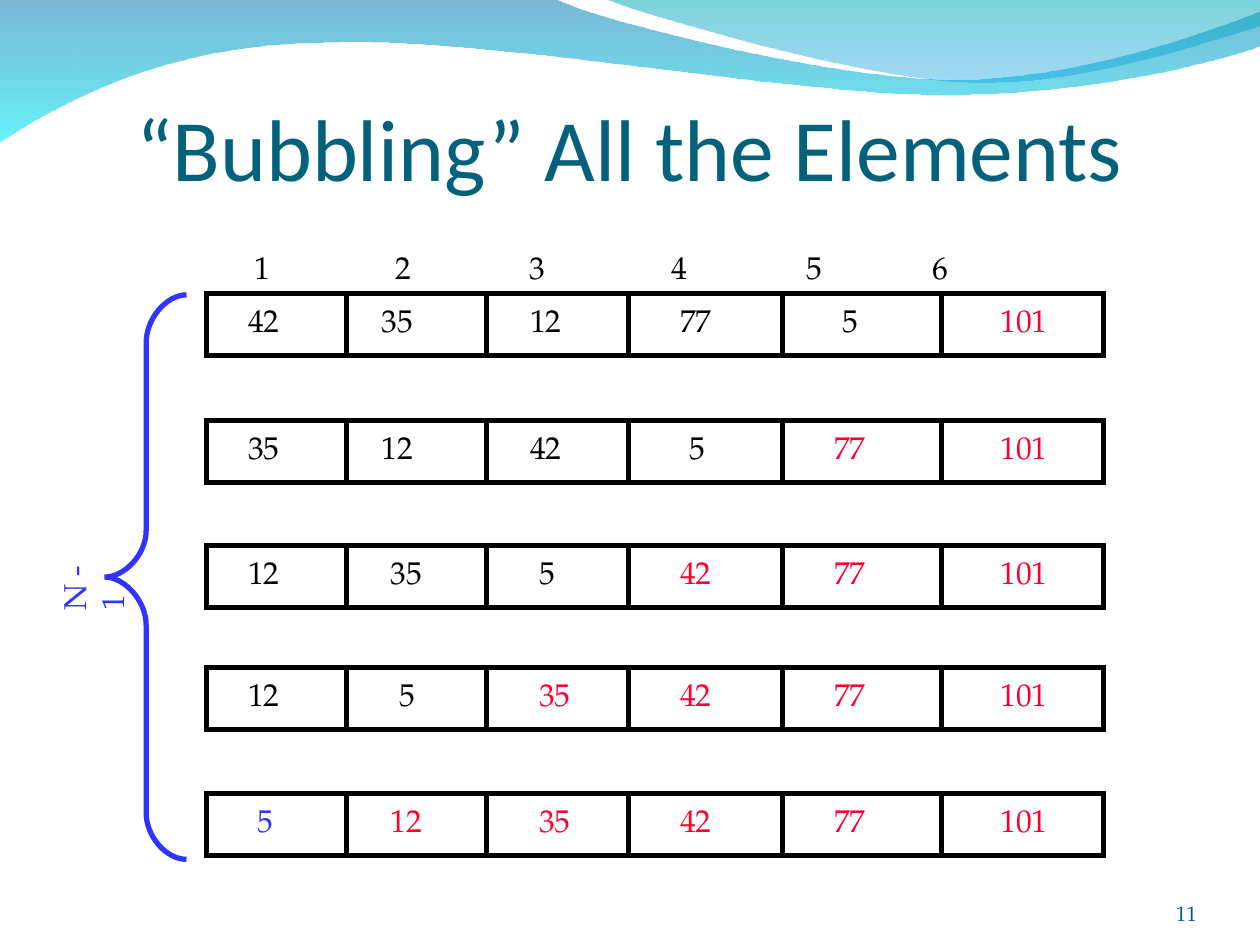
from dataclasses import dataclass
from typing import NamedTuple

from lxml.etree import SubElement
from pptx import Presentation
from pptx.dml.color import RGBColor as RGB
from pptx.enum.shapes import MSO_CONNECTOR as Connector, MSO_SHAPE as Shape
from pptx.enum.text import MSO_ANCHOR as Anchor, MSO_AUTO_SIZE as AutoSize, PP_ALIGN as Align
from pptx.oxml.ns import qn
from pptx.util import Inches, Pt


@dataclass(frozen=True)
class Theme:
    heading_font: str = "Calibri"
    body_font: str = "TeX Gyre Pagella"
    heading: str = "04617B"
    page: str = "045C75"
    ink: str = "000000"
    sorted_value: str = "FF0033"
    accent: str = "3333FF"
    heading_size: int = 50
    body_size: int = 18
    page_size: int = 12
    line_width: int = 3


class Box(NamedTuple):
    left: float
    top: float
    width: float
    height: float

    def lengths(self) -> list:
        return [Inches(side) for side in self]


class Stop(NamedTuple):
    color: str
    opacity: int


class Outline(NamedTuple):
    """A segment is one line end or the three points of a Bézier curve."""
    start: tuple
    segments: list


class Wave(NamedTuple):
    outline: Outline
    stops: tuple


class Pass(NamedTuple):
    """Array after one pass; indents are in steps that push values right."""
    top: float
    values: tuple
    indents: tuple


THEME = Theme()
WAVES = [
    Wave(Outline((0, -0.01), [
        [(4.4, -0.01)],
        [(4.76, 0.17), (6.64, 0.63), (7.58, 0.63)],
        [(8.53, 0.63), (9.58, 0.26), (10, 0.09)],
        [(10.01, 0.36)],
        [(9.83, 0.44), (8.7, 0.76), (7.46, 0.75)],
        [(6.22, 0.75), (3.82, 0.28), (2.57, 0.34)],
        [(1.29, 0.35), (0.46, 0.83), (-0.01, 1.13)],
        [(0, -0.01)],
    ]), (Stop("0079AF", 52), Stop("00EBF8", 60))),
    Wave(Outline((4.79, -0.01), [
        [(5.09, 0.11), (6.82, 0.62), (7.69, 0.65)],
        [(8.56, 0.69), (9.61, 0.32), (10, 0.21)],
        [(10, 0)],
        [(4.79, -0.01)],
    ]), (Stop("00ADB6", 52), Stop("009BE5", 37))),
]
BRACE = Outline((1.48, 2.34), [
    [(1.32, 2.34), (1.16, 2.53), (1.16, 2.72)],
    [(1.16, 4.21)],
    [(1.16, 4.4), (0.99, 4.58), (0.83, 4.58)],
    [(0.99, 4.58), (1.16, 4.77), (1.16, 4.96)],
    [(1.16, 6.45)],
    [(1.16, 6.64), (1.32, 6.82), (1.48, 6.82)],
])
PASSES = [
    Pass(2.33, (42, 35, 12, 77, 5, 101), (0, 0, 0, 0, 2, 1)),
    Pass(3.34, (35, 12, 42, 5, 77, 101), (0, 0, 0, 1, 1, 1)),
    Pass(4.33, (12, 35, 5, 42, 77, 101), (0, 1, 1, 0, 1, 1)),
    Pass(5.3, (12, 5, 35, 42, 77, 101), (0, 2, 1, 0, 1, 1)),
    Pass(6.3, (5, 12, 35, 42, 77, 101), (1, 1, 1, 0, 1, 1)),
]
ROW_LEFT, ROW_WIDTH, ROW_HEIGHT = 1.64, 7.12, 0.49
DIVIDERS = (2.75, 3.86, 4.99, 6.21, 7.47)
VALUE_LEFTS = (1.87, 2.93, 4.11, 5.3, 6.45, 7.77)
INDEX_TABS = (0.25, 1.37, 2.43, 3.56, 4.63, 5.63)
INSET, INDENT_STEP, DIGIT_WIDTH = 0.1, 0.07, 0.14


def write_text(holder, text: str, *, color: str = THEME.ink, size: int = THEME.body_size,
               font: str = THEME.body_font, align=Align.LEFT, anchor=Anchor.TOP,
               wrap: bool = True, margins: tuple = (INSET, 0.05, INSET, 0.05)):
    """Fill a shape with one formatted paragraph; margins are left, top, right, bottom."""
    frame = holder.text_frame
    frame.auto_size = AutoSize.NONE
    frame.word_wrap = wrap
    frame.vertical_anchor = anchor
    (frame.margin_left, frame.margin_top,
     frame.margin_right, frame.margin_bottom) = map(Inches, margins)
    paragraph = frame.paragraphs[0]
    paragraph.alignment = align
    run = paragraph.add_run()
    run.text = text
    run.font.size, run.font.name = Pt(size), font
    run.font.color.rgb = RGB.from_string(color)
    return paragraph


def set_line(shape, color: str) -> None:
    shape.line.color.rgb = RGB.from_string(color)
    shape.line.width = Pt(THEME.line_width)
    SubElement(shape.line._get_or_add_ln(), qn("a:miter"), lim="800000")


def draw_outline(shapes, outline: Outline, close: bool):
    """Build a freeform through all points, then join each curve's three points."""
    ends = [point for segment in outline.segments for point in segment]
    builder = shapes.build_freeform(*map(Inches, outline.start))
    builder.add_line_segments([(Inches(x), Inches(y)) for x, y in ends], close=close)
    shape = builder.convert_to_shape()
    shape.shadow.inherit = False
    steps = iter(list(shape.element.iter(qn("a:lnTo"))))
    for segment in outline.segments:
        step = next(steps)
        if len(segment) == 3:
            step.tag = qn("a:cubicBezTo")
            for _ in range(2):
                extra = next(steps)
                step.append(extra[0])
                extra.getparent().remove(extra)
    return shape


def draw_wave(shapes, wave: Wave):
    shape = draw_outline(shapes, wave.outline, close=True)
    shape.line.fill.background()
    shape.fill.gradient()
    shape.fill.gradient_angle = 270
    for gradient_stop, stop in zip(shape.fill.gradient_stops, wave.stops):
        gradient_stop.color.rgb = RGB.from_string(stop.color)
    for color, stop in zip(shape.element.iter(qn("a:srgbClr")), wave.stops):
        SubElement(color, qn("a:alpha")).set("val", str(stop.opacity * 1000))
    return shape


def draw_pass(shapes, number: int, row: Pass) -> None:
    """Draw one array row; each pass puts one more value at the end in order."""
    parts = shapes.add_group_shape().shapes
    frame = parts.add_shape(Shape.RECTANGLE,
                            *Box(ROW_LEFT, row.top, ROW_WIDTH, ROW_HEIGHT).lengths())
    frame.shadow.inherit = False
    frame.fill.background()
    set_line(frame, THEME.ink)
    for x in DIVIDERS:
        divider = parts.add_connector(Connector.STRAIGHT, Inches(x), Inches(row.top),
                                      Inches(x), Inches(row.top + ROW_HEIGHT))
        set_line(divider, THEME.ink)
        SubElement(divider.element.spPr, qn("a:effectLst"))
    first_sorted = len(row.values) - number
    for column, (left, value, steps) in enumerate(zip(VALUE_LEFTS, row.values, row.indents)):
        color = THEME.sorted_value if column >= first_sorted else THEME.ink
        if number == len(PASSES) and column == 0:
            color = THEME.accent
        indent = INSET + steps * INDENT_STEP
        width = indent + DIGIT_WIDTH * len(str(value)) + INSET
        label = parts.add_textbox(*Box(left, row.top + 0.01, width, 0.4).lengths())
        write_text(label, str(value), color=color, wrap=False,
                   margins=(indent, 0.05, INSET, 0.05))


def draw_pass_count(shapes) -> None:
    parts = shapes.add_group_shape().shapes
    brace = draw_outline(parts, BRACE, close=False)
    brace.fill.background()
    set_line(brace, THEME.accent)
    count = parts.add_textbox(*Box(0.22, 4.37, 0.74, 0.4).lengths())
    count.rotation = 270
    write_text(count, "N - 1", color=THEME.accent, margins=(INSET, 0.05, 0.2, 0.05))


def draw_indexes(shapes) -> None:
    indexes = shapes.add_textbox(*Box(1.67, 1.92, 7.08, 0.4).lengths())
    text = "".join(f"\t{number}" for number in range(1, len(INDEX_TABS) + 1))
    paragraph = write_text(indexes, text)
    tabs = SubElement(paragraph._p.get_or_add_pPr(), qn("a:tabLst"))
    for position in INDEX_TABS:
        SubElement(tabs, qn("a:tab"), pos=str(Inches(position)), algn="l")


def main() -> None:
    deck = Presentation()
    deck.slide_width, deck.slide_height = Inches(10), Inches(7.5)
    slide = deck.slides.add_slide(deck.slide_layouts[5])
    shapes, title = slide.shapes, slide.shapes.title

    for wave in WAVES:
        title.element.addprevious(draw_wave(shapes, wave).element)
    title.left, title.top, title.width, title.height = Box(0.5, 0.5, 9, 1.08).lengths()
    write_text(title, "“Bubbling” All the Elements", color=THEME.heading,
               size=THEME.heading_size, font=THEME.heading_font, align=Align.CENTER,
               anchor=Anchor.BOTTOM, margins=(0, 0.05, 0, 0))
    page = shapes.add_textbox(*Box(8.67, 6.95, 0.83, 0.4).lengths())
    write_text(page, "11", color=THEME.page, size=THEME.page_size, align=Align.RIGHT,
               anchor=Anchor.BOTTOM, margins=(0, 0, 0, 0))

    for number, row in enumerate(PASSES, start=1):
        draw_pass(shapes, number, row)
    draw_pass_count(shapes)
    draw_indexes(shapes)
    deck.save("out.pptx")


if __name__ == "__main__":
    main()
